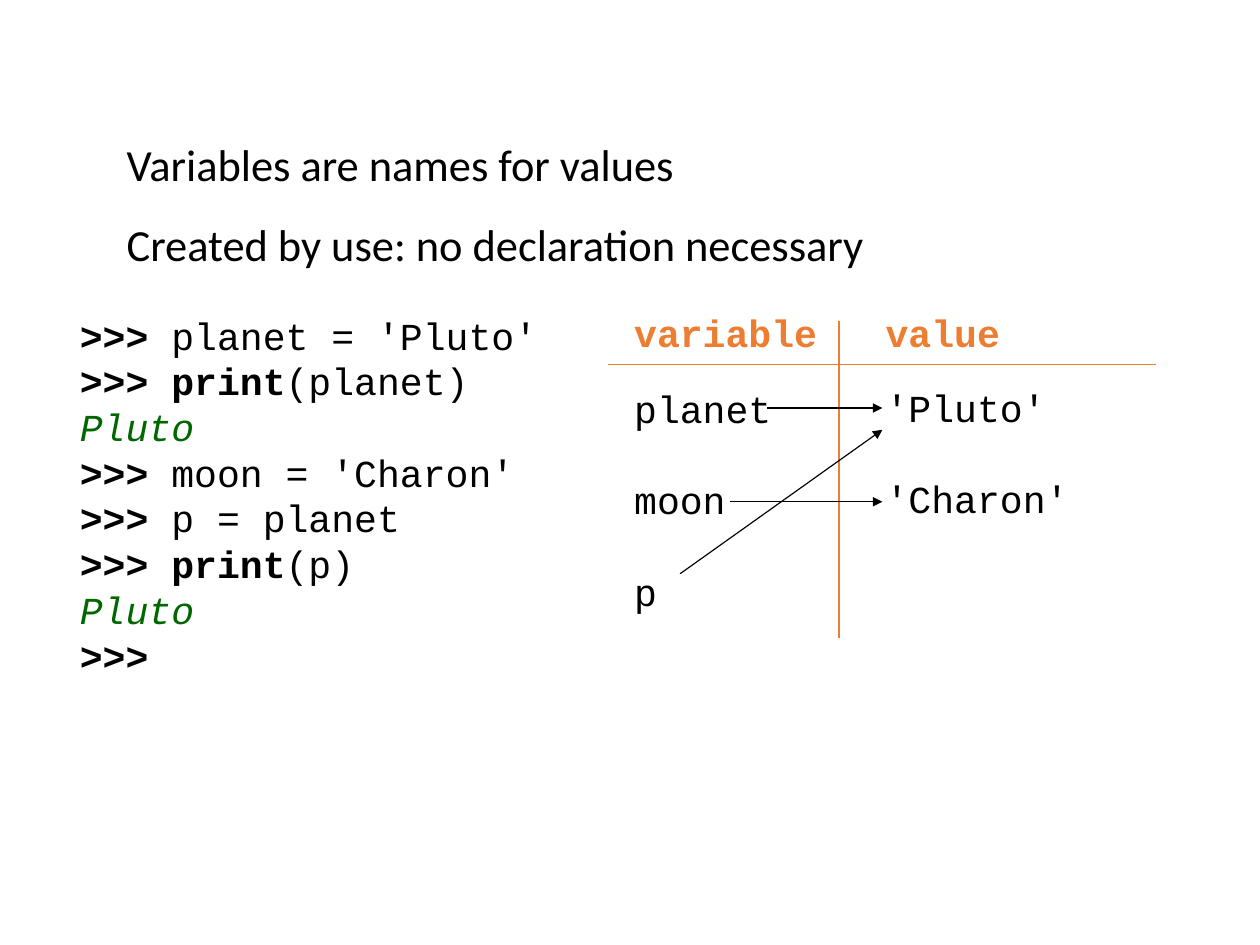
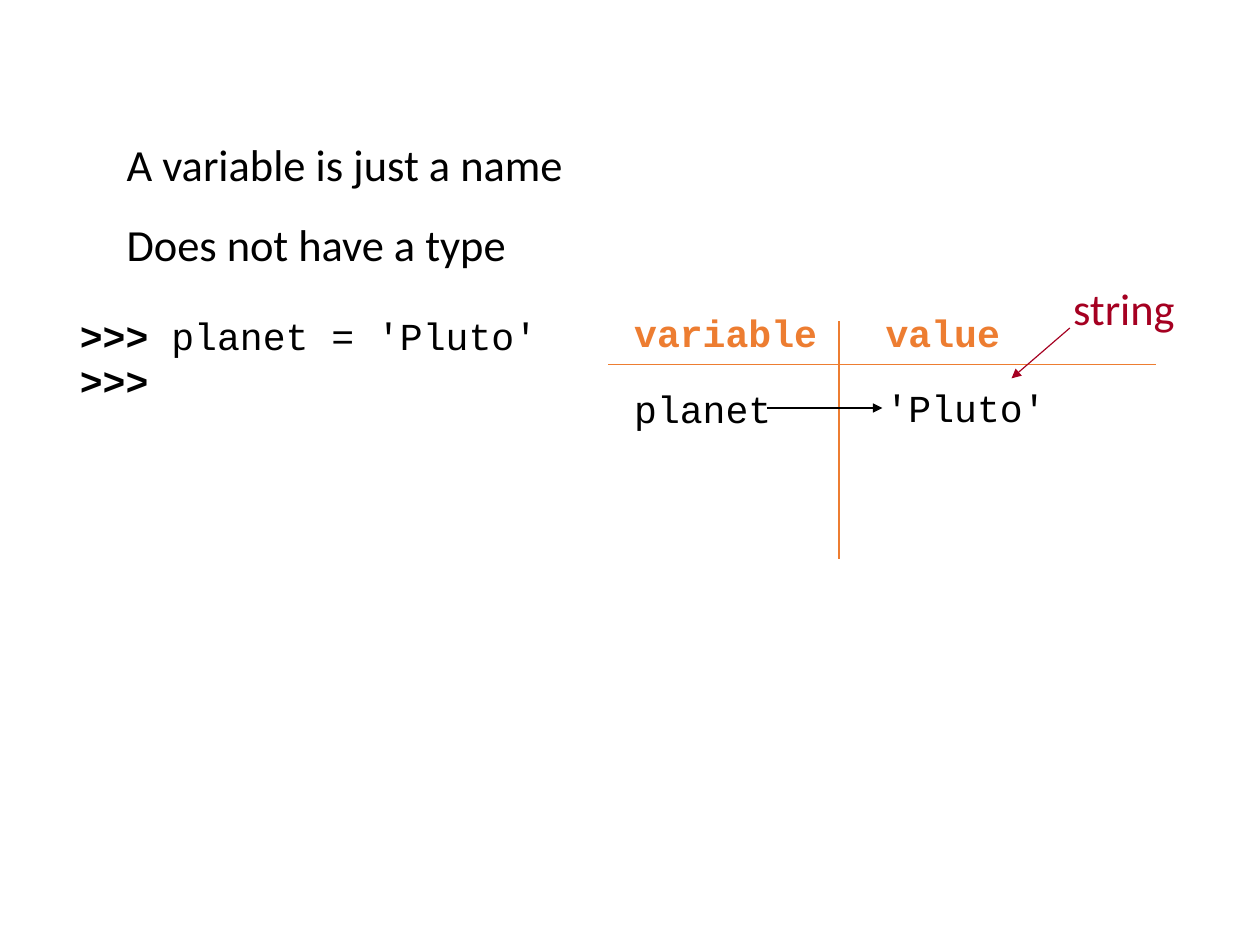
from lxml import etree
from pptx import Presentation
from pptx.dml.color import RGBColor
from pptx.enum.shapes import MSO_CONNECTOR
from pptx.enum.text import MSO_AUTO_SIZE
from pptx.oxml.ns import qn
from pptx.util import Cm, Inches, Pt

STRAIGHT = MSO_CONNECTOR.STRAIGHT
GROW, FIXED = MSO_AUTO_SIZE.SHAPE_TO_FIT_TEXT, MSO_AUTO_SIZE.NONE
COLORS = {"ink": "000000", "rule": "ED7D31", "result": "006600", "note": "A50021"}
SANS, MONO = "Calibri", "Courier New"

# Code lines: (bold start, plain rest), or a plain string for printed output
SLIDES = [
    {
        "points": ["Variables are names for values",
                   "Created by use: no declaration necessary"],
        "width": 6.72,
        "code": [(">>>", " planet = 'Pluto'"), (">>> print", "(planet)"), "Pluto",
                 (">>>", " moon = 'Charon'"), (">>>", " p = planet"),
                 (">>> print", "(p)"), "Pluto", (">>>", "")],
        "names": ["planet", "moon", "p"],
        "values": ["'Pluto'", "'Charon'"],
        "arrows": [(6.71, 3.57, 3.57), (6.39, 4.39, 4.39), (5.95, 5.02, 3.76)],
        "bottom": 5.58,
    },
    {
        "points": ["A variable is just a name", "Does not have a type"],
        "width": 4.06,
        "code": [(">>>", " planet = 'Pluto'"), (">>>", "")],
        "names": ["planet"],
        "values": ["'Pluto'"],
        "arrows": [(6.71, 3.57, 3.57)],
        "bottom": 4.89,
        "note": "string",
    },
]
NAME_X, VALUE_X, TIP_X = 5.45, 7.65, 7.72
COL_W, ROW_GAP = 1.76, 28.8


def add_text(slide, box, lines, font=MONO, size=24, space=None, gap=0, hang=0, auto=FIXED):
    """Each line is a list of runs: (text, colour, bold, italic)."""
    frame = slide.shapes.add_textbox(*map(Inches, box)).text_frame
    frame.word_wrap = False
    frame.auto_size = auto
    for i, runs in enumerate(lines):
        para = frame.paragraphs[0] if i == 0 else frame.add_paragraph()
        if hang:
            props = para._p.get_or_add_pPr()
            props.set("marL", str(Inches(hang)))
            props.set("indent", str(-Inches(hang)))
        if space:
            para.line_spacing = space
        if i and gap:
            para.space_before = Pt(gap)
        for text, color, bold, slant in runs:
            run = para.add_run()
            run.text = text
            run.font.name, run.font.size = font, Pt(size)
            run.font.bold, run.font.italic = bold, slant
            run.font.color.rgb = RGBColor.from_string(COLORS[color])


def add_line(slide, ends, color, arrow=False):
    line = slide.shapes.add_connector(STRAIGHT, *map(Inches, ends))
    line.line.width = Pt(0.75)
    line.line.color.rgb = RGBColor.from_string(COLORS[color])
    if arrow:
        etree.SubElement(line.line._get_or_add_ln(), qn("a:tailEnd"), type="triangle")
    etree.SubElement(line._element.spPr, qn("a:effectLst"))


def add_points(slide, box, texts, color="ink"):
    add_text(slide, box, [[(text, color, False, False)] for text in texts],
             SANS, 28, space=1.5, hang=0.5, auto=GROW)


def code_runs(line):
    if isinstance(line, str):
        return [(line, "result", False, True)]
    return [(text, "ink", bold, False) for text, bold in zip(line, (True, False)) if text]


def add_memory(slide, data):
    # Table rules
    add_line(slide, (5.32, 3.19, 10.11, 3.19), "rule")
    add_line(slide, (7.34, 2.81, 7.34, data["bottom"]), "rule")
    # Heading and entries of each column
    for x, y, head, items in ((NAME_X, 3.32, "variable", data["names"]),
                              (VALUE_X, 3.31, "value", data["values"])):
        add_text(slide, (x, 2.69, COL_W, 0.5), [[(head, "rule", True, False)]], space=0.93)
        add_text(slide, (x, y, COL_W, 2.08),
                 [[(item, "ink", False, False)] for item in items], gap=ROW_GAP)
    # Arrows from names to values
    for x, start, end in data["arrows"]:
        add_line(slide, (x, start, TIP_X, end), "ink", arrow=True)


def main():
    deck = Presentation()
    deck.slide_width = Cm(28)
    deck.slide_height = Cm(21)
    for data in SLIDES:
        slide = deck.slides.add_slide(deck.slide_layouts[6])
        add_points(slide, (1.01, 0.92, data["width"], 1.51), data["points"])
        add_text(slide, (0.6, 2.68, 3.78, 3.21), [code_runs(line) for line in data["code"]])
        add_memory(slide, data)
        # Type label
        if "note" in data:
            add_points(slide, (9.29, 2.18, 1.1, 0.73), [data["note"]], "note")
            add_line(slide, (9.36, 2.87, 8.85, 3.31), "note", arrow=True)
    deck.save("out.pptx")


if __name__ == "__main__":
    main()
